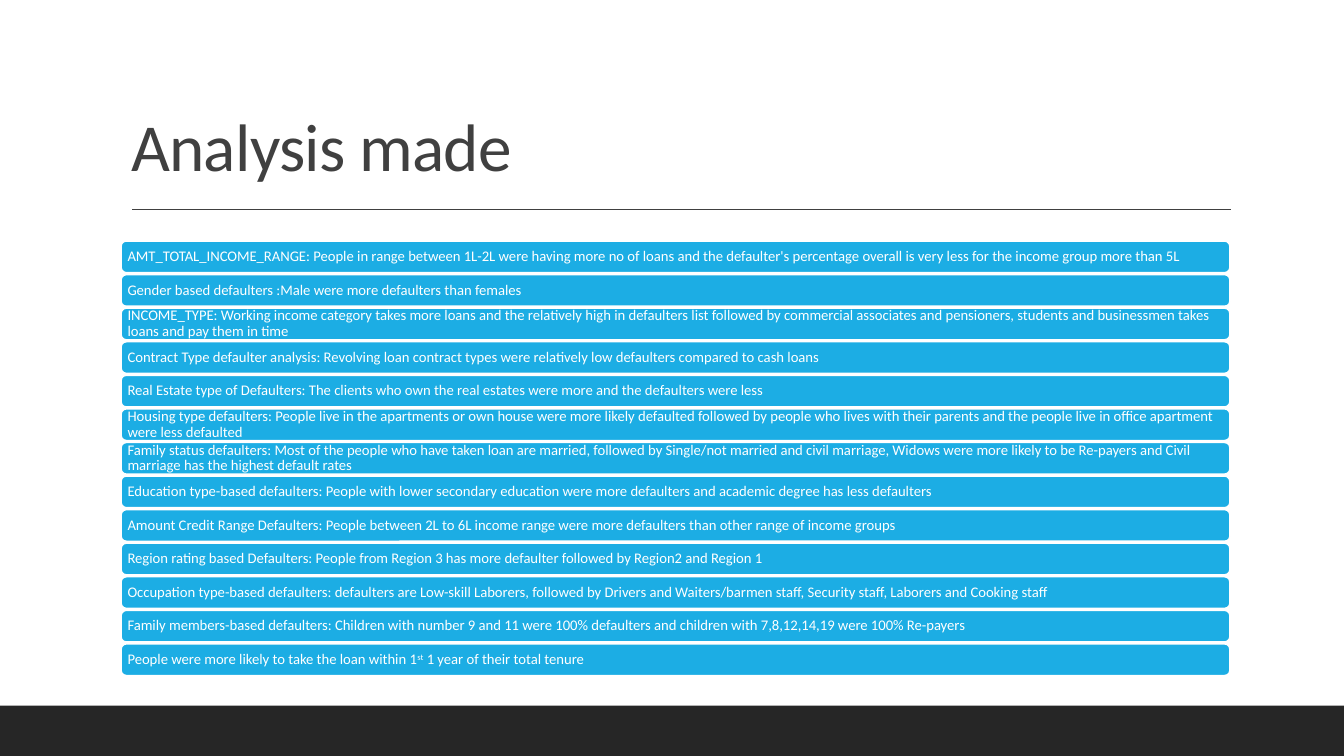
from lxml import etree
from pptx import Presentation, util as u
from pptx.dml.color import RGBColor
from pptx.enum import shapes, text
from pptx.oxml.ns import qn

TITLE = "Analysis made"
FINDINGS = [
    ["AMT_TOTAL_INCOME_RANGE: People in range between 1L-2L were having more no of loans and the defaulter's percentage overall is very less for the income group more than 5L"],
    ["Gender based defaulters :Male were more defaulters than females"],
    ["INCOME_TYPE: Working income category takes more loans and the relatively high in defaulters list followed by commercial associates and pensioners, students and businessmen takes loans and pay them in time"],
    ["Contract Type defaulter analysis: Revolving loan contract types were relatively low defaulters compared to cash loans"],
    ["Real Estate type of Defaulters: The clients who own the real estates were more and the defaulters were less"],
    ["Housing type defaulters: People live in the apartments or own house were more likely defaulted followed by people who lives with their parents and the people live in office apartment were less defaulted"],
    ["Family status defaulters: Most of the people who have taken loan are married, followed by Single/not married and civil marriage, Widows were more likely to be Re-payers and Civil marriage has the highest default rates"],
    ["Education type-based defaulters: People with lower secondary education were more defaulters and academic degree has less defaulters"],
    ["Amount Credit Range Defaulters: People between 2L to 6L income range were more defaulters than other range of income groups"],
    ["Region rating based Defaulters: People from Region 3 has more defaulter followed by Region2 and Region 1"],
    ["Occupation type-based defaulters: defaulters are Low-skill Laborers, followed by Drivers and Waiters/barmen staff, Security staff, Laborers and Cooking staff"],
    ["Family members-based defaulters: Children with number 9 and 11 were 100% defaulters and children with 7,8,12,14,19 were 100% Re-payers"],
    ["People were more likely to take the loan within 1", "st", " 1 year of their total tenure"],
]

FONT = "Calibri"
WHITE = RGBColor(0xFF, 0xFF, 0xFF)
BLUE = RGBColor(0x1C, 0xAD, 0xE4)
GREY = RGBColor(0x40, 0x40, 0x40)
DARK = RGBColor(0x26, 0x26, 0x26)

W, H = u.Inches(13.33), u.Inches(7.5)
LEFT, WIDTH = u.Inches(1.2), u.Inches(11)
LIST_TOP, LIST_BOTTOM = u.Inches(2.39), u.Inches(6.72)
ROW = (LIST_BOTTOM - LIST_TOP) / len(FINDINGS)
BAR_SHARE = 0.95
FOOTER_TOP = u.Inches(7)


def write(sp, runs, size, color, anchor, inset=None, spacing=None):
    tf = sp.text_frame
    tf.word_wrap = True
    tf.auto_size = text.MSO_AUTO_SIZE.NONE
    tf.vertical_anchor = anchor
    if inset is not None:
        tf.margin_left = tf.margin_right = tf.margin_top = tf.margin_bottom = inset
    p = tf.paragraphs[0]
    p.alignment = text.PP_ALIGN.LEFT
    p.line_spacing = 0.9
    for i, words in enumerate(runs):
        r = p.add_run()
        r.text = words
        r.font.name, r.font.size = FONT, u.Pt(size)
        r.font.color.rgb = color
        rpr = r._r.get_or_add_rPr()
        if i % 2:
            rpr.set("baseline", "30000")
        if spacing is not None:
            rpr.set("spc", str(spacing))


def add_block(s, kind, left, top, width, height, fill, line=None):
    sp = s.shapes.add_shape(kind, left, top, width, height)
    sp.shadow.inherit = False
    sp.fill.solid()
    sp.fill.fore_color.rgb = fill
    if line is None:
        sp.line.fill.background()
    else:
        sp.line.color.rgb = line
        sp.line.width = u.Pt(1.25)
    return sp


def main():
    prs = Presentation()
    prs.slide_width, prs.slide_height = W, H
    s = prs.slides.add_slide(prs.slide_layouts[5])

    title = s.shapes.title
    title.left, title.top = LEFT, u.Inches(0.31)
    title.width, title.height = WIDTH, u.Inches(1.59)
    write(title, [TITLE], 48, GREY, text.MSO_ANCHOR.BOTTOM, spacing=-50)

    add_block(s, shapes.MSO_SHAPE.RECTANGLE, 0, FOOTER_TOP, W, H - FOOTER_TOP, DARK)

    rule_y = u.Inches(2.08)
    rule = s.shapes.add_connector(
        shapes.MSO_CONNECTOR.STRAIGHT, u.Inches(1.31), rule_y, u.Inches(12.21), rule_y)
    rule.line.color.rgb = GREY
    rule.line.width = u.Pt(1)
    etree.SubElement(rule._element.spPr, qn("a:effectLst"))

    for i, runs in enumerate(FINDINGS):
        bar = add_block(s, shapes.MSO_SHAPE.ROUNDED_RECTANGLE, LEFT, round(LIST_TOP + i * ROW),
                        WIDTH, round(ROW * BAR_SHARE), BLUE, WHITE)
        write(bar, runs, 10.5, WHITE, text.MSO_ANCHOR.MIDDLE, inset=u.Inches(0.05))

    prs.save("out.pptx")


if __name__ == "__main__":
    main()
